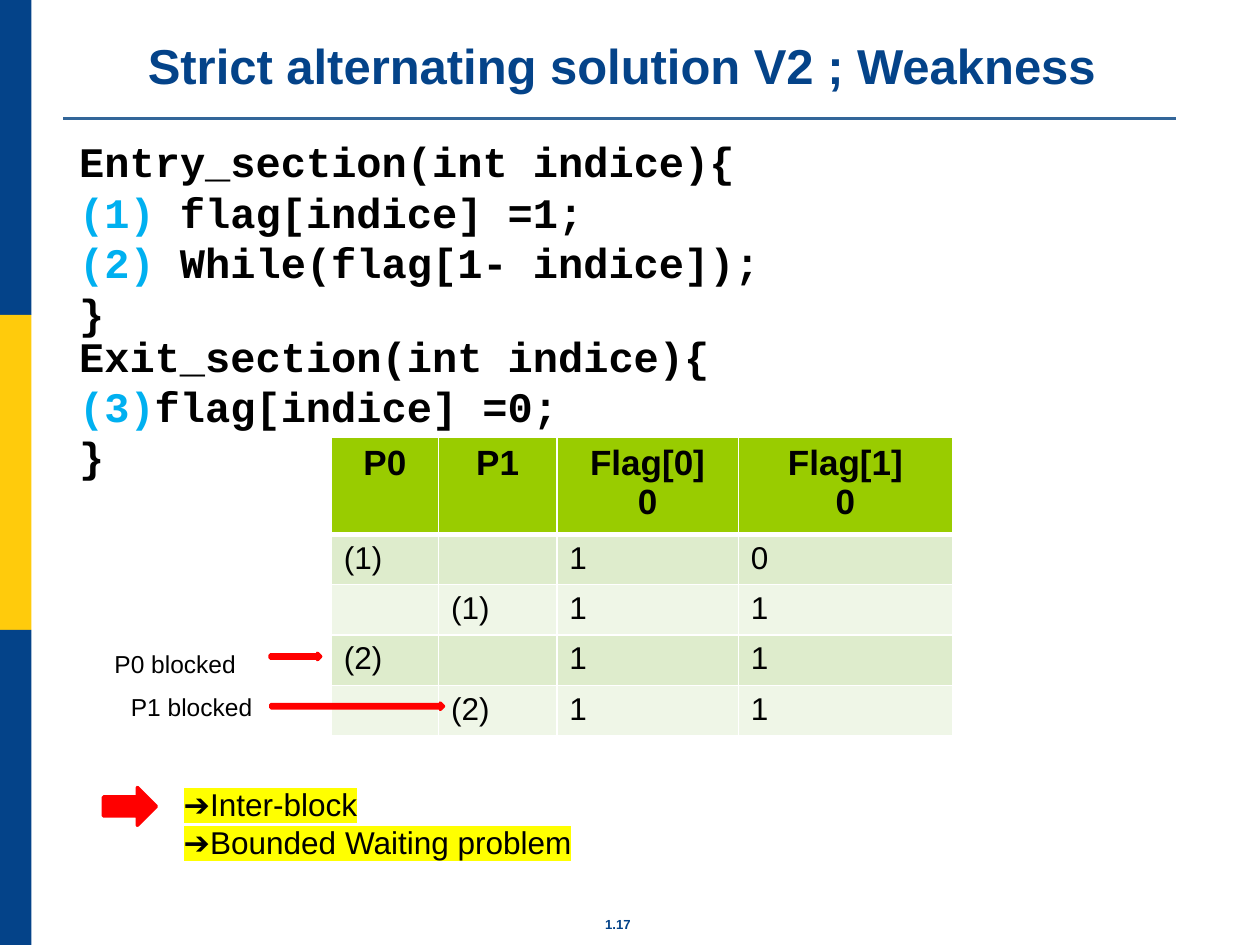
from dataclasses import dataclass

from lxml.etree import SubElement
from pptx import Presentation
from pptx.dml.color import RGBColor
from pptx.enum.shapes import MSO_CONNECTOR, MSO_SHAPE
from pptx.enum.text import MSO_ANCHOR, PP_ALIGN
from pptx.oxml.ns import qn
from pptx.util import Inches, Pt


@dataclass(frozen=True)
class Theme:
    navy: str = "044389"
    gold: str = "FFCB0C"
    rule: str = "336699"
    ink: str = "000000"
    step: str = "00B0F0"
    red: str = "FF0000"
    mark: str = "FFFF00"
    white: str = "FFFFFF"
    head: str = "99CC00"
    bands: tuple = ("DEECCC", "EFF6E7")
    sans: str = "Arial"
    mono: str = "Courier New"
    title: float = 28
    code: float = 24
    header: float = 20
    body: float = 18
    label: float = 14
    foot: float = 7.5


def rgb(code):
    return RGBColor.from_string(code)


class Page:
    def __init__(self, deck, theme):
        self.theme = theme
        self.slide = deck.slides.add_slide(deck.slide_layouts[5])
        self.shapes = self.slide.shapes

    def style(self, para, size, color=None, bold=False, font=None, align=PP_ALIGN.LEFT):
        para.alignment = align
        para.font.name = font or self.theme.sans
        para.font.size = Pt(size)
        para.font.bold = bold
        para.font.color.rgb = rgb(color or self.theme.ink)

    def title(self, text, x, y, w, h):
        box = self.shapes.title
        box.left, box.top, box.width, box.height = map(Inches, (x, y, w, h))
        box.text_frame.text = text
        box.text_frame.vertical_anchor = MSO_ANCHOR.BOTTOM
        self.style(box.text_frame.paragraphs[0], self.theme.title,
                   self.theme.navy, True, align=PP_ALIGN.CENTER)

    def text(self, lines, x, y, w, h, size, **look):
        frame = self.shapes.add_textbox(*map(Inches, (x, y, w, h))).text_frame
        frame.word_wrap = True
        frame.text = "\n".join(lines)
        for para in frame.paragraphs:
            self.style(para, size, **look)
        return frame

    def code(self, lines, x, y, w, h):
        """Each line is a pair: step number and statement."""
        frame = self.text([""] * len(lines), x, y, w, h, self.theme.code,
                          bold=True, font=self.theme.mono)
        for para, (step, rest) in zip(frame.paragraphs, lines):
            for part, color in ((step, self.theme.step), (rest, self.theme.ink)):
                if part:
                    run = para.add_run()
                    run.text = part
                    run.font.color.rgb = rgb(color)

    def marked(self, lines, x, y, w, h):
        frame = self.text(lines, x, y, w, h, self.theme.body)
        for para in frame.paragraphs:
            for run in para.runs:
                light = SubElement(run.font._element, qn("a:highlight"))
                SubElement(light, qn("a:srgbClr"), val=self.theme.mark)

    def block(self, kind, x, y, w, h, fill, line=None):
        shape = self.shapes.add_shape(kind, *map(Inches, (x, y, w, h)))
        shape.shadow.inherit = False
        shape.fill.solid()
        shape.fill.fore_color.rgb = rgb(fill)
        if line:
            shape.line.color.rgb = rgb(fill)
            shape.line.width = Pt(line)
        else:
            shape.line.fill.background()
        return shape

    def arrow(self, x, y, w, h):
        """A down arrow turned to point right."""
        shape = self.block(MSO_SHAPE.DOWN_ARROW, x, y, w, h, self.theme.red, 2)
        shape.rotation = 270

    def rule(self, x, y, end):
        line = self.shapes.add_connector(
            MSO_CONNECTOR.STRAIGHT, *map(Inches, (x, y, end, y)))
        line.line.color.rgb = rgb(self.theme.rule)
        line.line.width = Pt(1.5)
        SubElement(line._element.spPr, qn("a:effectLst"))

    def border(self, cell, bottom):
        props = cell._tc.get_or_add_tcPr()
        for side, width in (("L", 1), ("R", 1), ("T", 1), ("B", bottom)):
            line = SubElement(props, qn(f"a:ln{side}"), w=str(Pt(width)))
            fill = SubElement(line, qn("a:solidFill"))
            SubElement(fill, qn("a:srgbClr"), val=self.theme.white)

    def table(self, rows, x, y, widths, heights):
        frame = self.shapes.add_table(
            len(rows), len(widths), Inches(x), Inches(y),
            Inches(sum(widths)), Inches(sum(heights)))
        grid = frame.table
        for col, width in zip(grid.columns, widths):
            col.width = Inches(width)
        for r, (row, height) in enumerate(zip(rows, heights)):
            grid.rows[r].height = Inches(height)
            top = r == 0
            for c, text in enumerate(row):
                cell = grid.cell(r, c)
                cell.text = text
                self.border(cell, 3 if top else 1)
                cell.fill.solid()
                cell.fill.fore_color.rgb = rgb(
                    self.theme.head if top else self.theme.bands[(r - 1) % 2])
                for para in cell.text_frame.paragraphs:
                    self.style(para, self.theme.header if top else self.theme.body,
                               bold=top, align=PP_ALIGN.CENTER if top else PP_ALIGN.LEFT)


def main():
    deck = Presentation()
    deck.slide_width, deck.slide_height = Inches(10), Inches(7.5)
    theme = Theme()
    page = Page(deck, theme)

    # Side band, title rule and page number
    for i, color in enumerate((theme.navy, theme.gold, theme.navy)):
        page.block(MSO_SHAPE.RECTANGLE, 0, 2.5 * i, 0.25, 2.5, color)
    page.rule(0.5, 0.94, 9.33)
    foot = page.text(["1.17"], 4.66, 7.23, 0.49, 0.2, theme.foot,
                     color=theme.navy, bold=True, align=PP_ALIGN.CENTER)
    foot.margin_left = foot.margin_right = Inches(0.07)
    foot.margin_top = foot.margin_bottom = Inches(0.04)
    page.title("Strict alternating solution V2 ; Weakness", 0.53, 0.17, 8.81, 0.63)

    # Entry and exit code
    page.code([("", "Entry_section(int indice){"),
               ("(1) ", "flag[indice] =1;"),
               ("(2) ", "While(flag[1- indice]);"),
               ("", "}")], 0.53, 1.03, 6.02, 1.72)
    page.code([("", "Exit_section(int indice){"),
               ("(3)", "flag[indice] =0;"),
               ("", "}")], 0.53, 2.57, 6.33, 1.31)

    # Execution trace
    page.table([("P0", "P1", "Flag[0]\n0", "Flag[1]\n0"),
                ("(1)", "", "1", "0"),
                ("", "(1)", "1", "1"),
                ("(2)", "", "1", "1"),
                ("", "(2)", "1", "1")],
               2.63, 3.47, (0.85, 0.94, 1.44, 1.7), (0.77,) + (0.4,) * 4)

    # Blocked processes
    page.arrow(2.32, 5.01, 0.05, 0.4)
    page.arrow(2.81, 4.92, 0.05, 1.37)
    page.text(["P0 blocked"], 0.81, 5.1, 1.25, 0.34, theme.label)
    page.text(["P1 blocked"], 0.94, 5.44, 1.25, 0.34, theme.label)

    # Conclusion
    page.arrow(0.88, 6.19, 0.3, 0.42)
    page.marked(["➔Inter-block", "➔Bounded Waiting problem"], 1.36, 6.18, 6.68, 0.71)

    deck.save("out.pptx")


if __name__ == "__main__":
    main()
